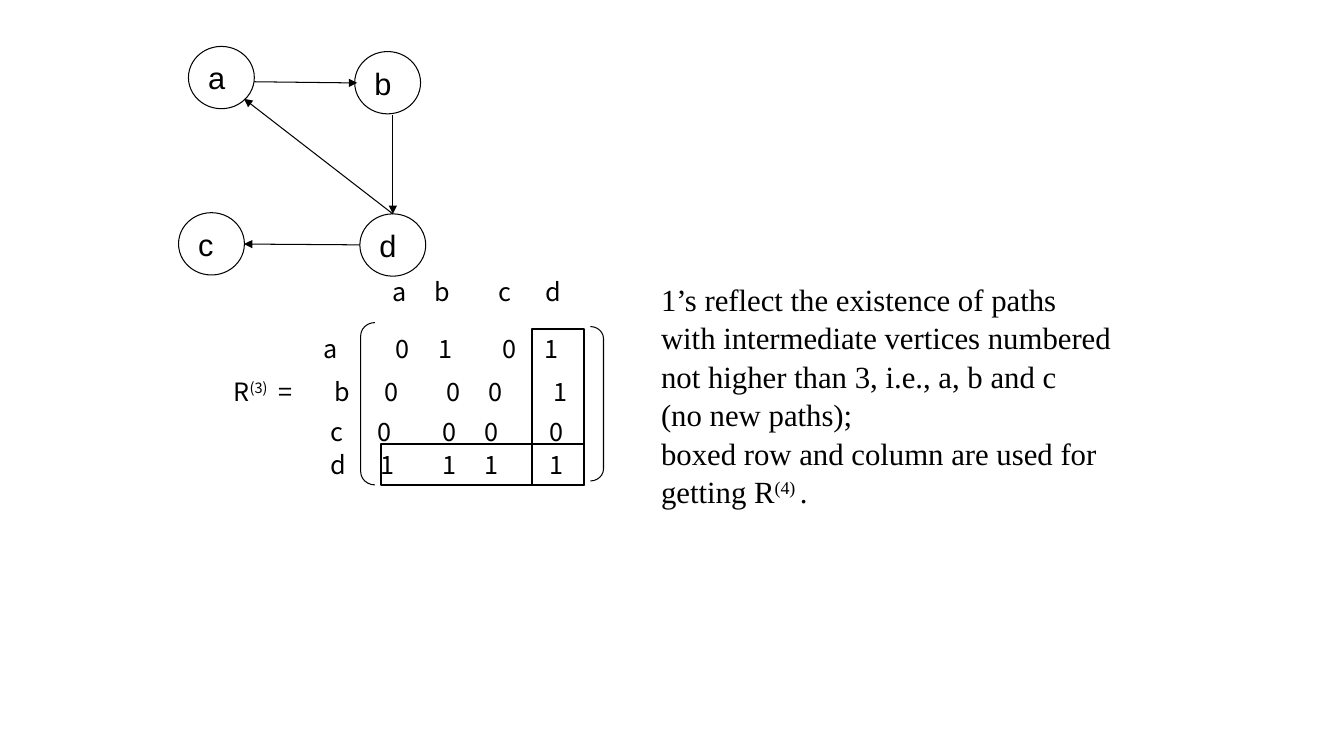
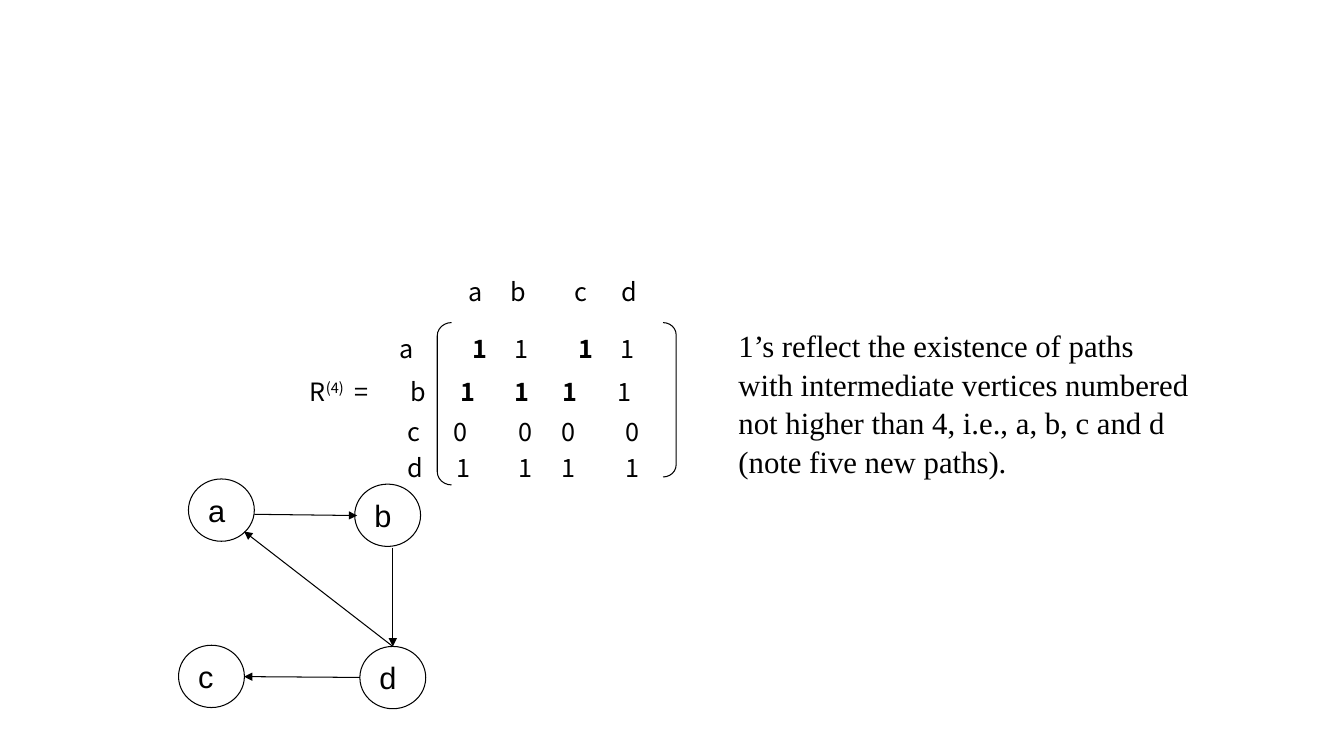
from dataclasses import dataclass

from lxml.etree import SubElement
from pptx import Presentation
from pptx.dml.color import RGBColor
from pptx.enum.shapes import MSO_CONNECTOR as Connector, MSO_SHAPE as Preset
from pptx.enum.text import MSO_ANCHOR as Anchor, MSO_AUTO_SIZE as AutoSize, PP_ALIGN as Align
from pptx.oxml.ns import qn
from pptx.util import Cm, Pt

BLACK, WHITE = "000000", "FFFFFF"
MATRIX_FONT, NOTE_FONT, VERTEX_FONT = "Noto Sans CJK SC", "Times New Roman", "Arial"
VERTEX_WIDTH, VERTEX_HEIGHT = 1.66, 1.57
ROW_HEIGHT = 1.02
HEADER_COLUMNS = (9.88, 10.95, 12.56, 13.74)
ROW_A_COLUMNS = (8.16, 9.98, 11.04, 12.66, 13.73)
ROW_C_COLUMNS = (8.34, 9.51, 11.16, 12.22, 13.84)
ROW_D_COLUMNS = (8.34, 9.58, 11.16, 12.22, 13.84)


@dataclass(frozen=True)
class Span:
    text: str
    bold: bool = False
    raised: bool = False


@dataclass(frozen=True)
class Area:
    left: float
    top: float
    width: float
    height: float


@dataclass(frozen=True)
class Vertex:
    name: str
    left: float
    top: float


@dataclass(frozen=True)
class Edge:
    start: tuple[float, float]
    end: tuple[float, float]


@dataclass(frozen=True)
class MatrixRow:
    entries: str
    top: float
    columns: tuple[float, ...]
    bold_columns: tuple[int, ...] = ()


@dataclass(frozen=True)
class PathSlide:
    step: str
    shift: float
    rows: tuple[MatrixRow, ...]
    brackets: tuple[Area, Area]
    frames: tuple[Area, ...]
    note: Area
    note_lines: tuple[tuple[Span, ...], ...]
    graph_top: float


VERTICES = (
    Vertex("c", 4.5, 4.19),
    Vertex("d", 9.07, 4.22),
    Vertex("b", 8.94, 0.13),
    Vertex("a", 4.75, 0),
)
EDGES = (
    Edge((6.41, 0.89), (9, 0.92)),
    Edge((9.9, 1.73), (9.9, 4.22)),
    Edge((9.9, 4.22), (6.15, 1.32)),
    Edge((9.07, 5), (6.15, 4.98)),
)
HEADER = MatrixRow("abcd", 6.83, HEADER_COLUMNS)
ROW_C = MatrixRow("c0000", 10.36, ROW_C_COLUMNS)
NOTE_START = (
    (Span("1’s reflect the existence of paths"),),
    (Span("with intermediate vertices numbered"),),
)
SLIDES = (
    PathSlide(
        step="(3)",
        shift=0,
        rows=(
            HEADER,
            MatrixRow("a0101", 8.28, ROW_A_COLUMNS),
            MatrixRow("b0001", 9.35, (8.43, 9.68, 11.26, 12.32, 13.94)),
            ROW_C,
            MatrixRow("d1111", 11.2, ROW_D_COLUMNS),
        ),
        brackets=(Area(9.09, 8.13, 0.36, 4.09), Area(14.88, 8.23, 0.33, 3.89)),
        frames=(Area(9.6, 11.2, 5.11, 1.02), Area(13.41, 8.28, 1.3, 3.94)),
        note=Area(16.41, 6.91, 11.99, 5.89),
        note_lines=NOTE_START + (
            (Span("not higher than 3, i.e., a, b and c"),),
            (Span("(no new paths);"),),
            (Span("boxed row and column are used for"),),
            (Span("getting R"), Span("(4) ", raised=True), Span(".")),
        ),
        graph_top=1.17,
    ),
    PathSlide(
        step="(4)",
        shift=1.92,
        rows=(
            HEADER,
            MatrixRow("a1111", 8.28, ROW_A_COLUMNS, (1, 3)),
            MatrixRow("b1111", 9.35, (8.43, 9.68, 11.04, 12.26, 13.64), (1, 2, 3)),
            ROW_C,
            MatrixRow("d1111", 11.28, ROW_D_COLUMNS),
        ),
        brackets=(Area(11.02, 8.13, 0.36, 4.09), Area(16.71, 8.13, 0.33, 3.89)),
        frames=(),
        note=Area(18.36, 8.08, 11.99, 4.01),
        note_lines=NOTE_START + (
            (Span("not higher than 4, i.e., a, b, c and d"),),
            (Span("(note five new paths)."),),
        ),
        graph_top=12.07,
    ),
)


def color(code: str) -> RGBColor:
    """Turn a hex string into a colour."""
    return RGBColor.from_string(code)


def add_span(para, text: str, *, font: str, size: float, bold: bool = False, raised: bool = False) -> None:
    """Append formatted text to a paragraph."""
    span = para.add_run()
    span.text = text
    span.font.name = font
    span.font.size = Pt(size)
    span.font.bold = bold
    span.font.color.rgb = color(BLACK)
    properties = span._r.get_or_add_rPr()
    SubElement(properties, qn("a:ea")).set("typeface", font)
    if raised:
        properties.set("baseline", "30000")


def add_tabs(para, stops: list[float]) -> None:
    """Give a paragraph left tab stops."""
    tabs = SubElement(para._p.get_or_add_pPr(), qn("a:tabLst"))
    for stop in stops:
        SubElement(tabs, qn("a:tab"), pos=str(int(Cm(stop))), algn="l")


def add_text_box(page, area: Area):
    """Add a wrapping text box without side margins."""
    box = page.shapes.add_textbox(Cm(area.left), Cm(area.top), Cm(area.width), Cm(area.height))
    frame = box.text_frame
    frame.word_wrap = True
    frame.auto_size = AutoSize.SHAPE_TO_FIT_TEXT
    frame.margin_left = frame.margin_right = 0
    return frame


def add_tabbed_line(page, columns: list[float], top: float, spans: list[Span]) -> None:
    """Write one line of matrix text with its columns on tab stops."""
    left = columns[0]
    width = columns[-1] - left + 0.8
    para = add_text_box(page, Area(left, top, width, ROW_HEIGHT)).paragraphs[0]
    add_tabs(para, [column - left for column in columns[1:]])
    for span in spans:
        add_span(para, span.text, font=MATRIX_FONT, size=18, bold=span.bold, raised=span.raised)


def add_row(page, row: MatrixRow, shift: float) -> None:
    """Write one matrix row."""
    spans = [
        Span(("\t" if index else "") + entry, bold=index in row.bold_columns)
        for index, entry in enumerate(row.entries)
    ]
    add_tabbed_line(page, [column + shift for column in row.columns], row.top, spans)


def add_outline(page, preset, area: Area, weight: float, fill: str | None = None):
    """Add a black-lined preset shape."""
    shape = page.shapes.add_shape(preset, Cm(area.left), Cm(area.top), Cm(area.width), Cm(area.height))
    shape.shadow.inherit = False
    shape.line.color.rgb = color(BLACK)
    shape.line.width = Pt(weight)
    if fill:
        shape.fill.solid()
        shape.fill.fore_color.rgb = color(fill)
    else:
        shape.fill.background()
    return shape


def add_vertex(page, vertex: Vertex, graph_top: float) -> None:
    """Draw a labelled graph vertex."""
    area = Area(vertex.left, graph_top + vertex.top, VERTEX_WIDTH, VERTEX_HEIGHT)
    frame = add_outline(page, Preset.OVAL, area, 0.75, WHITE).text_frame
    frame.vertical_anchor = Anchor.MIDDLE
    para = frame.paragraphs[0]
    para.alignment = Align.LEFT
    add_span(para, vertex.name, font=VERTEX_FONT, size=22)


def add_edge(page, edge: Edge, graph_top: float) -> None:
    """Draw an arrow between two vertices."""
    (start_x, start_y), (end_x, end_y) = edge.start, edge.end
    arrow = page.shapes.add_connector(
        Connector.STRAIGHT, Cm(start_x), Cm(graph_top + start_y), Cm(end_x), Cm(graph_top + end_y)
    )
    arrow.line.color.rgb = color(BLACK)
    arrow.line.width = Pt(0.75)
    SubElement(arrow.line._get_or_add_ln(), qn("a:tailEnd")).set("type", "triangle")
    SubElement(arrow._element.spPr, qn("a:effectLst"))


def add_note(page, area: Area, lines: tuple[tuple[Span, ...], ...]) -> None:
    """Write the explanation beside the matrix."""
    frame = add_text_box(page, area)
    for index, line in enumerate(lines):
        para = frame.add_paragraph() if index else frame.paragraphs[0]
        para.line_spacing = 1.04
        for span in line:
            add_span(para, span.text, font=NOTE_FONT, size=22, raised=span.raised)


def add_path_slide(deck, content: PathSlide) -> None:
    """Add a slide with a matrix, a note and the graph."""
    page = deck.slides.add_slide(deck.slide_layouts[6])
    for preset, area in zip((Preset.LEFT_BRACKET, Preset.RIGHT_BRACKET), content.brackets):
        add_outline(page, preset, area, 0.75).adjustments[0] = 0.927
    for row in content.rows:
        add_row(page, row, content.shift)
    name = [Span("R"), Span(content.step, raised=True), Span("\t=")]
    add_tabbed_line(page, [5.89 + content.shift, 7.01 + content.shift], 9.35, name)
    for area in content.frames:
        add_outline(page, Preset.RECTANGLE, area, 1.5)
    add_note(page, Area(content.note.left + 0.25, content.note.top, content.note.width, content.note.height),
             content.note_lines)
    for vertex in VERTICES:
        add_vertex(page, vertex, content.graph_top)
    for edge in EDGES:
        add_edge(page, edge, content.graph_top)


def main() -> None:
    """Build and save the deck."""
    deck = Presentation()
    deck.slide_width, deck.slide_height = Cm(33.87), Cm(19.05)
    for content in SLIDES:
        add_path_slide(deck, content)
    deck.save("out.pptx")


if __name__ == "__main__":
    main()
